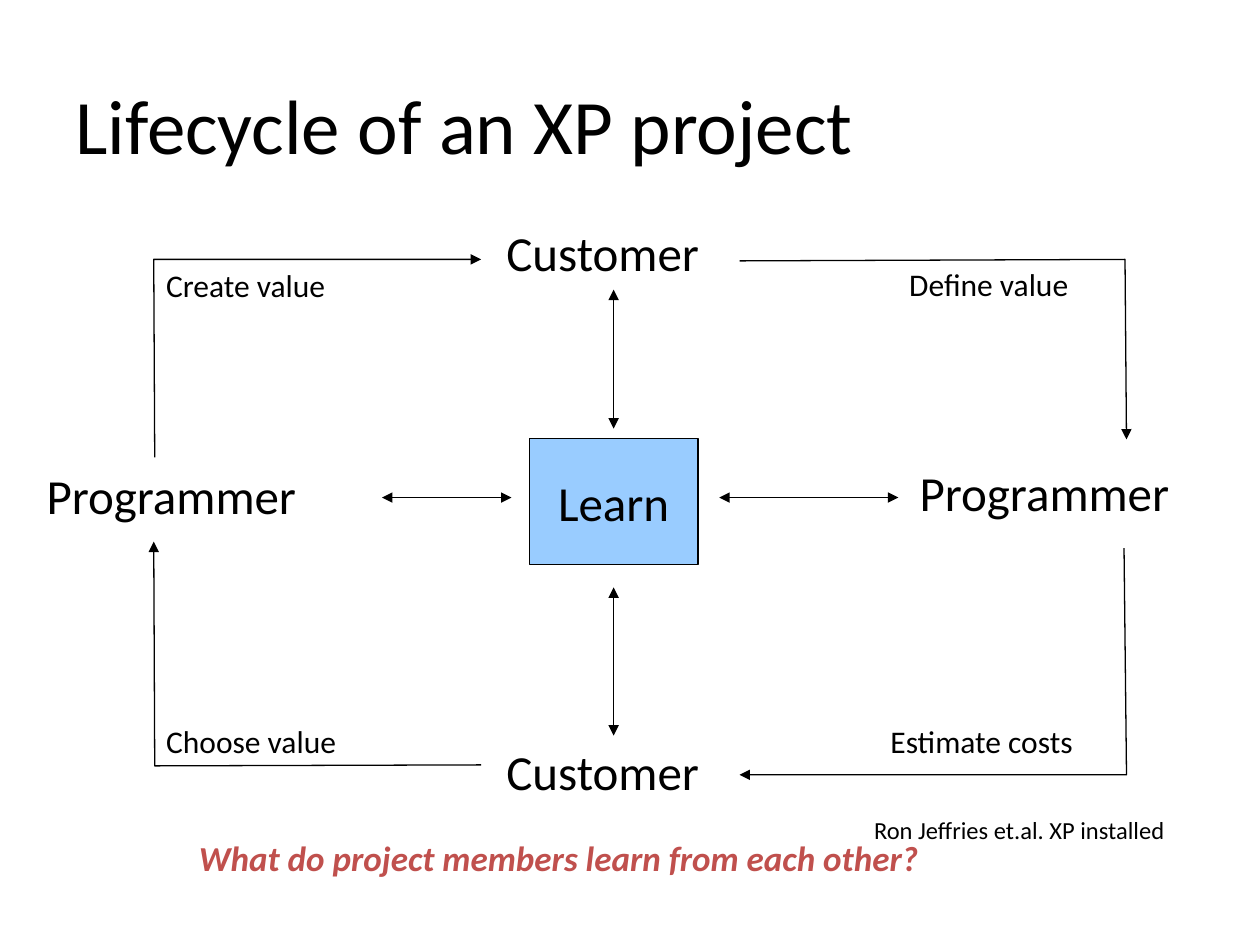
from lxml.etree import SubElement
from pptx import Presentation
from pptx.dml.color import RGBColor
from pptx.enum.shapes import MSO_CONNECTOR as Connector, MSO_SHAPE as Shape
from pptx.enum.text import MSO_ANCHOR as Anchor, PP_ALIGN as Align
from pptx.oxml.ns import qn
from pptx.util import Cm, Pt

BLACK, RED, LIGHT_BLUE = "000000", "C0504D", "99CCFF"
LEARN_CENTER_X, LEARN_CENTER_Y = 12.37, 10.03

ROLES = [
    ("Customer", 9.96, 4.37, 4.83),
    ("Customer", 9.96, 14.83, 4.83),
    ("Programmer", 0.69, 9.25, 6.05),
    ("Programmer", 18.29, 9.19, 6.05),
]
STEPS = [
    ("Define value", 18.08, 5.21, 4.09),
    ("Estimate costs", 17.7, 14.43, 4.67),
    ("Choose value", 3.1, 14.43, 4.45),
    ("Create value", 3.1, 5.23, 4.14),
]
CYCLE_ARROWS = [
    [(14.91, 5.26), (22.68, 5.23), (22.71, 8.86)],
    [(22.66, 11.05), (22.71, 15.62), (14.91, 15.62)],
    [(9.7, 15.42), (3.12, 15.44), (3.1, 10.92)],
    [(3.12, 9.22), (3.1, 5.23), (9.7, 5.23)],
]
LEARN_ARROWS = [
    ((LEARN_CENTER_X, 14.83), (LEARN_CENTER_X, 11.84)),
    ((LEARN_CENTER_X, 8.64), (LEARN_CENTER_X, 5.84)),
    ((18.11, LEARN_CENTER_Y), (14.5, LEARN_CENTER_Y)),
    ((10.31, LEARN_CENTER_Y), (7.7, LEARN_CENTER_Y)),
]


def color(value):
    return RGBColor.from_string(value)


def write(frame, text, size, ink=BLACK, align=Align.LEFT, emphasis=False):
    frame.word_wrap = True
    para = frame.paragraphs[0]
    para.alignment = align
    span = para.add_run()
    span.text = text
    font = span.font
    font.name, font.size = "Calibri", Pt(size)
    font.bold = font.italic = emphasis
    font.color.rgb = color(ink)


def set_title(slide, text):
    title = slide.shapes.title
    title.left, title.top, title.width, title.height = Cm(1.27), Cm(1.3), Cm(22.86), Cm(2.39)
    title.text_frame.vertical_anchor = Anchor.MIDDLE
    write(title.text_frame, text, 44)


def add_text(slide, text, left, top, width, height, size, **style):
    box = slide.shapes.add_textbox(Cm(left), Cm(top), Cm(width), Cm(height))
    write(box.text_frame, text, size, **style)


def style_line(shape, *arrow_ends):
    """Draw a thin black line with a triangle at each named end."""
    shape.line.color.rgb = color(BLACK)
    shape.line.width = Pt(0.75)
    line = shape.line._get_or_add_ln()
    for end in arrow_ends:
        SubElement(line, qn(f"a:{end}"), type="triangle")


def add_cycle_arrow(slide, points):
    start, *rest = [(Cm(x), Cm(y)) for x, y in points]
    builder = slide.shapes.build_freeform(*start)
    builder.add_line_segments(rest, close=False)
    arrow = builder.convert_to_shape()
    arrow.shadow.inherit = False
    arrow.fill.background()
    style_line(arrow, "tailEnd")


def add_double_arrow(slide, start, end):
    ends = [Cm(value) for value in start + end]
    arrow = slide.shapes.add_connector(Connector.STRAIGHT, *ends)
    style_line(arrow, "headEnd", "tailEnd")
    SubElement(arrow._element.spPr, qn("a:effectLst"))


def add_learn_box(slide):
    box = slide.shapes.add_shape(Shape.RECTANGLE, Cm(10.67), Cm(8.84), Cm(3.4), Cm(2.54))
    box.shadow.inherit = False
    box.fill.solid()
    box.fill.fore_color.rgb = color(LIGHT_BLUE)
    style_line(box)
    box.text_frame.vertical_anchor = Anchor.MIDDLE
    write(box.text_frame, "Learn", 28, align=Align.CENTER)


def main():
    deck = Presentation()
    deck.slide_width, deck.slide_height = Cm(25.4), Cm(19.05)
    slide = deck.slides.add_slide(deck.slide_layouts[5])
    set_title(slide, "Lifecycle of an XP project")
    for role, left, top, width in ROLES:
        add_text(slide, role, left, top, width, 1.45, 28)
    for points in CYCLE_ARROWS:
        add_cycle_arrow(slide, points)
    for step, left, top, width in STEPS:
        add_text(slide, step, left, top, width, 1.02, 18)
    add_learn_box(slide)
    for start, end in LEARN_ARROWS:
        add_double_arrow(slide, start, end)
    add_text(slide, "What do project members learn from each other?",
             3.76, 16.74, 17.35, 1.12, 20, ink=RED, emphasis=True)
    add_text(slide, "Ron Jeffries et.al. XP installed", 17.37, 16.31, 7.14, 0.86, 14)
    deck.save("out.pptx")


if __name__ == "__main__":
    main()
